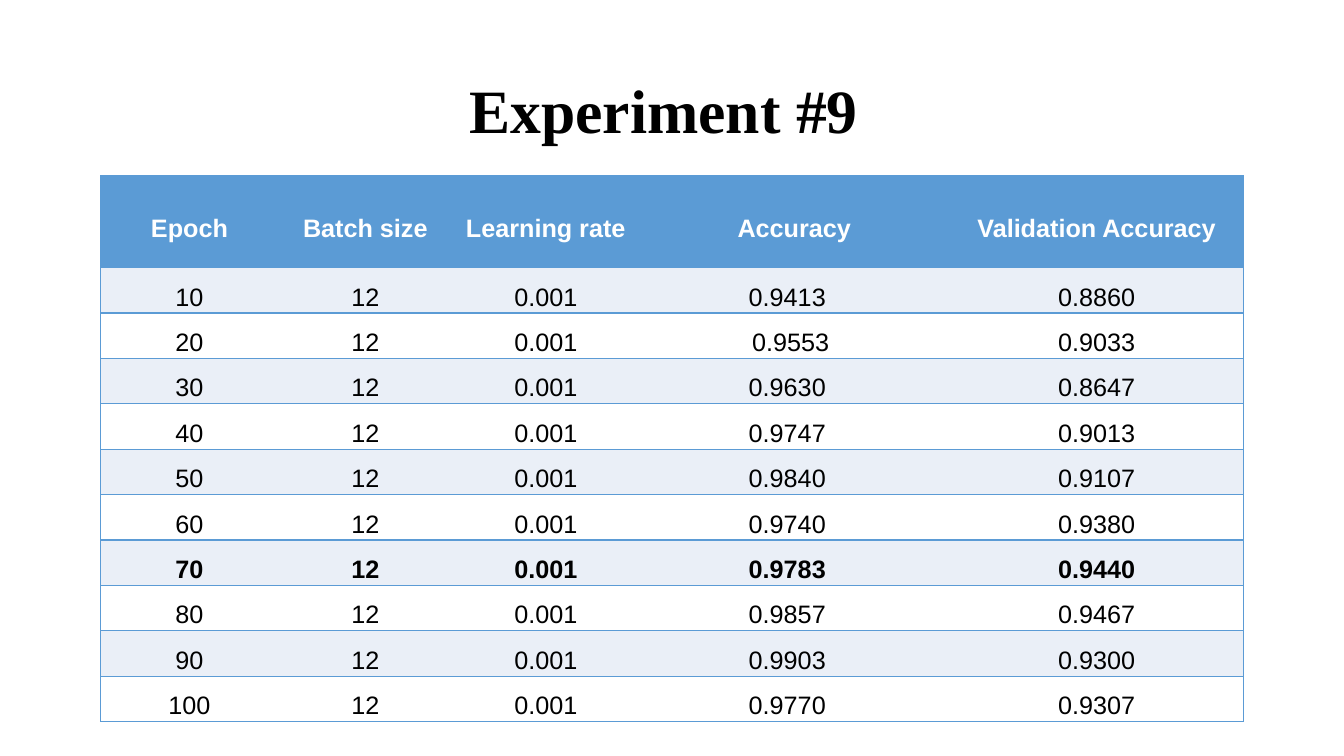
"""Build a slide with the training results of one experiment."""
from lxml import etree
from pptx import Presentation
from pptx.dml.color import RGBColor
from pptx.enum.text import MSO_ANCHOR, PP_ALIGN
from pptx.oxml.ns import qn
from pptx.util import Pt

MIDDLE = MSO_ANCHOR.MIDDLE
CENTER = PP_ALIGN.CENTER

TITLE = "Experiment #9"
HEADERS = ["Epoch", "Batch size", "Learning rate", "Accuracy", "Validation Accuracy"]
BATCH_SIZE, LEARNING_RATE = "12", "0.001"
RESULTS = [
    ("10", "0.9413", "0.8860"),
    ("20", "0.9553", "0.9033"),
    ("30", "0.9630", "0.8647"),
    ("40", "0.9747", "0.9013"),
    ("50", "0.9840", "0.9107"),
    ("60", "0.9740", "0.9380"),
    ("70", "0.9783", "0.9440"),
    ("80", "0.9857", "0.9467"),
    ("90", "0.9903", "0.9300"),
    ("100", "0.9770", "0.9307"),
]
BEST_EPOCH = "70"
SHIFTED_EPOCH = "20"

BLUE, PALE, WHITE, BLACK = "5B9BD5", "EAEFF7", "FFFFFF", "000000"
TABLE_LEFT, TABLE_TOP = 72, 125.7
COLUMN_WIDTHS = [126.7, 124.6, 133.2, 221.8, 210.2]
HEADER_HEIGHT, ROW_HEIGHT = 65.5, 30.95
CELL_MARGIN = 5
ACCURACY_COLUMN = 3


def color(value):
    return RGBColor.from_string(value)


def add_text(frame, text, font_name, size, text_color, bold, line_spacing):
    paragraph = frame.paragraphs[0]
    paragraph.alignment = CENTER
    paragraph.line_spacing = line_spacing
    run = paragraph.add_run()
    run.text = text
    run.font.name = font_name
    run.font.size = Pt(size)
    run.font.bold = bold
    run.font.color.rgb = color(text_color)
    return paragraph


def set_borders(cell, visible_sides):
    properties = cell._tc.get_or_add_tcPr()
    for index, side in enumerate("LRTB"):
        line = etree.Element(qn(f"a:ln{side}"), w=str(Pt(1)))
        if side in visible_sides:
            fill = etree.SubElement(line, qn("a:solidFill"))
            etree.SubElement(fill, qn("a:srgbClr"), val=BLUE)
        else:
            etree.SubElement(line, qn("a:noFill"))
        properties.insert(index, line)


def add_title(slide):
    box = slide.shapes.add_textbox(Pt(66), Pt(28.75), Pt(828), Pt(104.4))
    frame = box.text_frame
    frame.word_wrap = True
    frame.vertical_anchor = MIDDLE
    frame.margin_right = Pt(18.5)
    add_text(frame, TITLE, "Times New Roman", 44, BLACK, True, 0.9)


def add_results(slide):
    rows = [HEADERS] + [
        (epoch, BATCH_SIZE, LEARNING_RATE, accuracy, validation)
        for epoch, accuracy, validation in RESULTS
    ]
    heights = [HEADER_HEIGHT] + [ROW_HEIGHT] * len(RESULTS)
    table = slide.shapes.add_table(
        len(rows), len(HEADERS), Pt(TABLE_LEFT), Pt(TABLE_TOP),
        Pt(sum(COLUMN_WIDTHS)), Pt(sum(heights))).table
    table.first_row = table.horz_banding = False
    for column, width in zip(table.columns, COLUMN_WIDTHS):
        column.width = Pt(width)

    last_column = len(HEADERS) - 1
    for row_index, values in enumerate(rows):
        table.rows[row_index].height = Pt(heights[row_index])
        is_header = row_index == 0
        fill_color = BLUE if is_header else (PALE if row_index % 2 else WHITE)
        bold = is_header or values[0] == BEST_EPOCH
        for column_index, value in enumerate(values):
            cell = table.cell(row_index, column_index)
            cell.fill.solid()
            cell.fill.fore_color.rgb = color(fill_color)
            cell.vertical_anchor = MIDDLE
            cell.margin_top = cell.margin_bottom = 0
            cell.margin_left = cell.margin_right = Pt(CELL_MARGIN)
            if column_index == ACCURACY_COLUMN and not is_header:
                offset = 5 if values[0] == SHIFTED_EPOCH else 10
                cell.margin_right = Pt(CELL_MARGIN + offset)
            sides = {0: "LTB", last_column: "RTB"}.get(column_index, "TB")
            set_borders(cell, sides)
            paragraph = add_text(cell.text_frame, value, "Arial", 18,
                                 WHITE if is_header else BLACK, bold, 1.5)
            paragraph.space_after = Pt(5.3)


def main():
    presentation = Presentation()
    presentation.slide_width, presentation.slide_height = Pt(960), Pt(540)
    slide = presentation.slides.add_slide(presentation.slide_layouts[6])
    add_title(slide)
    add_results(slide)
    presentation.save("out.pptx")


if __name__ == "__main__":
    main()
